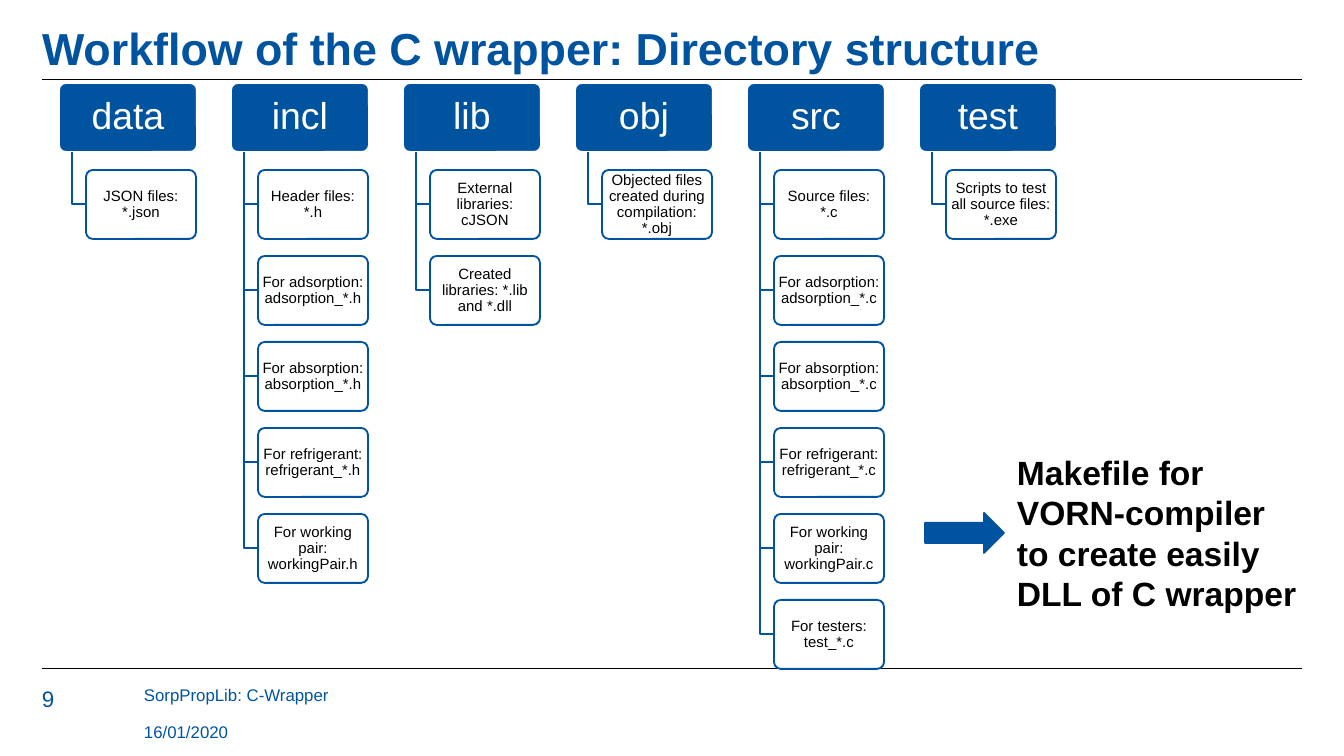
from dataclasses import dataclass

import pptx
import pptx.dml.color
import pptx.enum.shapes
import pptx.enum.text
import pptx.oxml.ns
import pptx.shapes.autoshape
import pptx.slide
import pptx.text.text
import pptx.util
from lxml import etree

BLUE = pptx.dml.color.RGBColor(0x00, 0x54, 0x9F)
WHITE = pptx.dml.color.RGBColor(0xFF, 0xFF, 0xFF)
BLACK = pptx.dml.color.RGBColor(0x00, 0x00, 0x00)
FONT = "Arial"

SLIDE_WIDTH, SLIDE_HEIGHT = 1344, 756
EMU_PER_PX = 9144000 / SLIDE_WIDTH

RULE_LEFT, RULE_RIGHT = 42, 1302
TREE_LEFT, TREE_TOP, COLUMN_PITCH = 59, 83, 172
FOLDER_WIDTH, BOX_HEIGHT = 138, 69
FILE_INDENT, FILE_TOP, FILE_PITCH, FILE_WIDTH = 27, 170, 86, 110
STEM_INDENT = 13


@dataclass(frozen=True)
class Folder:
    name: str
    files: tuple[str, ...]


@dataclass(frozen=True)
class Area:
    left: int
    top: int
    width: int
    height: int


@dataclass(frozen=True)
class TextStyle:
    size: int
    color: pptx.dml.color.RGBColor
    bold: bool = False
    centred: bool = False
    line_spacing: float = 1.0
    anchor: pptx.enum.text.MSO_ANCHOR = pptx.enum.text.MSO_ANCHOR.TOP
    inset_x: int = 0
    inset_y: int = 0


@dataclass(frozen=True)
class Label:
    text: str
    area: Area
    style: TextStyle


MIDDLE = pptx.enum.text.MSO_ANCHOR.MIDDLE
BOTTOM = pptx.enum.text.MSO_ANCHOR.BOTTOM
FOLDER_STYLE = TextStyle(20, WHITE, False, True, 0.9, MIDDLE, 5, 4)
FILE_STYLE = TextStyle(8, BLACK, False, True, 0.9, MIDDLE, 2, 2)
FOOTER_STYLE = TextStyle(9, BLUE)

FOLDERS = (
    Folder("data", ("JSON files: *.json",)),
    Folder("incl", (
        "Header files: *.h",
        "For adsorption: adsorption_*.h",
        "For absorption: absorption_*.h",
        "For refrigerant: refrigerant_*.h",
        "For working pair: workingPair.h",
    )),
    Folder("lib", (
        "External libraries: cJSON",
        "Created libraries: *.lib and *.dll",
    )),
    Folder("obj", ("Objected files created during compilation: *.obj",)),
    Folder("src", (
        "Source files: *.c",
        "For adsorption: adsorption_*.c",
        "For absorption: absorption_*.c",
        "For refrigerant: refrigerant_*.c",
        "For working pair: workingPair.c",
        "For testers: test_*.c",
    )),
    Folder("test", ("Scripts to test all source files: *.exe",)),
)

LABELS = (
    Label("Workflow of the C wrapper: Directory structure", Area(42, 15, 1260, 60),
          TextStyle(24, BLUE, bold=True, line_spacing=0.9, anchor=BOTTOM)),
    Label("9", Area(42, 685, 65, 38), TextStyle(12, BLUE)),
    Label("SorpPropLib: C-Wrapper", Area(144, 685, 634, 35), FOOTER_STYLE),
    Label("16/01/2020", Area(144, 722, 159, 20), FOOTER_STYLE),
    Label("Makefile for VORN-compiler to create easily DLL of C wrapper",
          Area(1004, 445, 310, 176),
          TextStyle(18, BLACK, bold=True, inset_x=13, inset_y=7)),
)


def px(length: int) -> pptx.util.Emu:
    return pptx.util.Emu(round(length * EMU_PER_PX))


def bounds(area: Area) -> tuple[pptx.util.Emu, ...]:
    return px(area.left), px(area.top), px(area.width), px(area.height)


def write(frame: pptx.text.text.TextFrame, text: str, style: TextStyle) -> None:
    frame.text = text
    frame.word_wrap = True
    frame.vertical_anchor = style.anchor
    frame.margin_left = frame.margin_right = px(style.inset_x)
    frame.margin_top = frame.margin_bottom = px(style.inset_y)
    paragraph = frame.paragraphs[0]
    alignments = pptx.enum.text.PP_ALIGN
    paragraph.alignment = alignments.CENTER if style.centred else alignments.LEFT
    paragraph.line_spacing = style.line_spacing
    for run in paragraph.runs:
        run.font.name = FONT
        run.font.size = pptx.util.Pt(style.size)
        run.font.bold = style.bold
        run.font.color.rgb = style.color


def draw_label(slide: pptx.slide.Slide, label: Label) -> None:
    write(slide.shapes.add_textbox(*bounds(label.area)).text_frame, label.text, label.style)


def draw_rule(slide: pptx.slide.Slide, y: int) -> None:
    rule = slide.shapes.add_connector(
        pptx.enum.shapes.MSO_CONNECTOR.STRAIGHT, px(RULE_LEFT), px(y), px(RULE_RIGHT), px(y))
    rule.line.color.rgb = BLACK
    rule.line.width = pptx.util.Pt(0.5)
    properties = rule.element.find(pptx.oxml.ns.qn("p:spPr"))
    etree.SubElement(properties, pptx.oxml.ns.qn("a:effectLst"))


def draw_shape(
    slide: pptx.slide.Slide,
    kind: pptx.enum.shapes.MSO_SHAPE,
    area: Area,
    fill: pptx.dml.color.RGBColor,
    outline: pptx.dml.color.RGBColor,
) -> pptx.shapes.autoshape.Shape:
    shape = slide.shapes.add_shape(kind, *bounds(area))
    shape.shadow.inherit = False
    shape.fill.solid()
    shape.fill.fore_color.rgb = fill
    shape.line.color.rgb = outline
    shape.line.width = pptx.util.Pt(1)
    return shape


def draw_box(
    slide: pptx.slide.Slide,
    label: Label,
    fill: pptx.dml.color.RGBColor,
    outline: pptx.dml.color.RGBColor,
) -> None:
    box = draw_shape(
        slide, pptx.enum.shapes.MSO_SHAPE.ROUNDED_RECTANGLE, label.area, fill, outline)
    box.adjustments[0] = 0.1
    write(box.text_frame, label.text, label.style)


def draw_branch(slide: pptx.slide.Slide, x: int, top: int, end_x: int, end_y: int) -> None:
    builder = slide.shapes.build_freeform(px(x), px(top))
    builder.add_line_segments(((px(x), px(end_y)), (px(end_x), px(end_y))), close=False)
    branch = builder.convert_to_shape()
    branch.shadow.inherit = False
    branch.fill.background()
    branch.line.color.rgb = BLUE
    branch.line.width = pptx.util.Pt(1)


def draw_folder(slide: pptx.slide.Slide, folder: Folder, left: int) -> None:
    folder_area = Area(left, TREE_TOP, FOLDER_WIDTH, BOX_HEIGHT)
    draw_box(slide, Label(folder.name, folder_area, FOLDER_STYLE), BLUE, WHITE)
    file_left = left + FILE_INDENT
    for row, text in enumerate(folder.files):
        top = FILE_TOP + row * FILE_PITCH
        draw_branch(slide, left + STEM_INDENT, TREE_TOP + BOX_HEIGHT,
                    file_left, top + BOX_HEIGHT // 2)
        file_area = Area(file_left, top, FILE_WIDTH, BOX_HEIGHT)
        draw_box(slide, Label(text, file_area, FILE_STYLE), WHITE, BLUE)


def main() -> None:
    presentation = pptx.Presentation()
    presentation.slide_width = px(SLIDE_WIDTH)
    presentation.slide_height = px(SLIDE_HEIGHT)
    slide = presentation.slides.add_slide(presentation.slide_layouts[6])
    for y in (80, 669):
        draw_rule(slide, y)
    for column, folder in enumerate(FOLDERS):
        draw_folder(slide, folder, TREE_LEFT + column * COLUMN_PITCH)
    draw_shape(slide, pptx.enum.shapes.MSO_SHAPE.RIGHT_ARROW, Area(925, 513, 79, 40), BLUE, BLUE)
    for label in LABELS:
        draw_label(slide, label)
    presentation.save("out.pptx")


if __name__ == "__main__":
    main()
